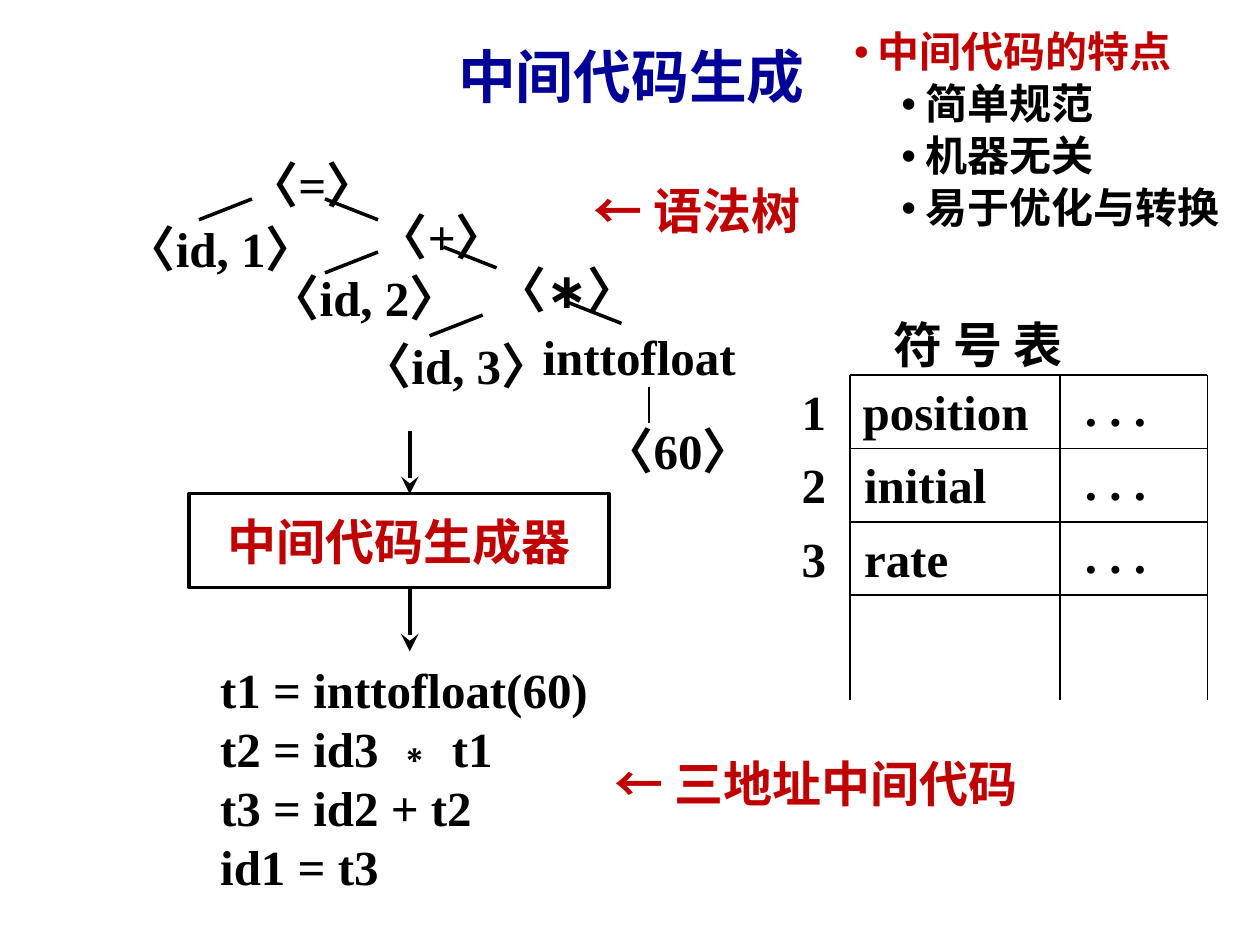
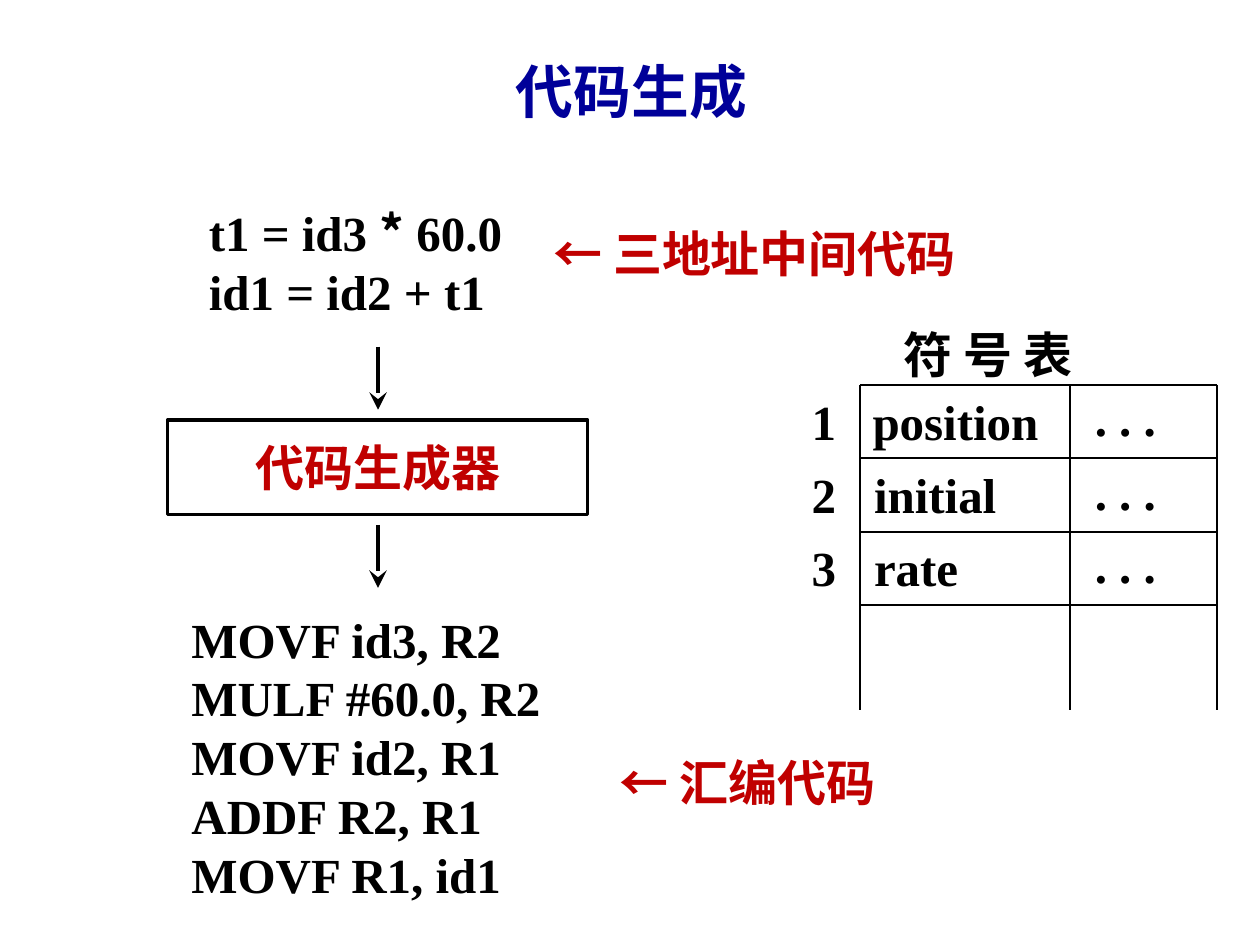
from pptx import Presentation
from pptx.dml.color import RGBColor
from pptx.enum.shapes import MSO_CONNECTOR as Line, MSO_SHAPE as Preset
from pptx.enum.text import MSO_ANCHOR as Anchor, PP_ALIGN as Align
from pptx.oxml.ns import qn
from pptx.util import Cm, Pt
from lxml.etree import SubElement

BLACK, RED, NAVY = "000000", "C00000", "000099"
SERIF, SANS_JP, SANS_SC = "Times New Roman", "Noto Sans CJK JP", "Noto Sans CJK SC"


def rgb(code):
    """Turn a hex string into a colour."""
    return RGBColor.from_string(code)


class Deck:
    """Holds the presentation, its style and the current slide."""

    def __init__(self):
        """Start a 4:3 presentation."""
        self.deck = Presentation()
        self.deck.slide_width, self.deck.slide_height = Cm(25.4), Cm(19.05)
        self.slide = None

    def new_slide(self, title, top):
        """Add a blank slide with its centred title."""
        self.slide = self.deck.slides.add_slide(self.deck.slide_layouts[6])
        self.text(8.64, top, 8.18, 2.44, [title], font=SANS_JP, size=33, color=NAVY,
                  align=Align.CENTER, wrap=True, spacing=0.9)

    def style(self, paragraph, font, size, color, east=None):
        """Set the bold face, size and colour of a paragraph."""
        face = paragraph.font
        face.size, face.bold, face.name = Pt(size), True, font
        face.color.rgb = rgb(color)
        if east:
            defaults = paragraph._p.pPr.find(qn("a:defRPr"))
            SubElement(defaults, qn("a:ea")).set("typeface", east)

    def text(self, left, top, width, height, lines, font=SERIF, size=28, color=BLACK,
             align=Align.LEFT, anchor=Anchor.MIDDLE, wrap=False, spacing=None, east=SANS_SC):
        """Add a text box; a line is a string or a list of (text, font) pairs."""
        frame = self.slide.shapes.add_textbox(
            Cm(left), Cm(top), Cm(width), Cm(height)).text_frame
        frame.word_wrap, frame.vertical_anchor = wrap, anchor
        for index, line in enumerate(lines):
            paragraph = frame.paragraphs[0] if index == 0 else frame.add_paragraph()
            paragraph.alignment, paragraph.line_spacing = align, spacing
            self.style(paragraph, font, size, color, font if font != SERIF else east)
            for words, face in [(line, None)] if isinstance(line, str) else line:
                run = paragraph.add_run()
                run.text = words
                if face:
                    run.font.name = face
        return frame

    def note(self, left, top, width, words):
        """Add a red remark."""
        self.text(left, top, width, 1.7, [words], font=SANS_JP, color=RED)

    def line(self, x1, y1, x2, y2, weight=2, arrow=False):
        """Add a straight black line, with a stealth arrowhead if wanted."""
        connector = self.slide.shapes.add_connector(
            Line.STRAIGHT, Cm(x1), Cm(y1), Cm(x2), Cm(y2))
        connector.line.color.rgb = rgb(BLACK)
        connector.line.width = Pt(weight)
        properties = connector._element.spPr
        if arrow:
            head = SubElement(properties.find(qn("a:ln")), qn("a:tailEnd"))
            for key, value in (("type", "stealth"), ("w", "lg"), ("len", "lg")):
                head.set(key, value)
        SubElement(properties, qn("a:effectLst"))

    def stage(self, left, top, name, arrow_x, arrow_tops):
        """Add a processing stage with its arrows in and out."""
        box = self.slide.shapes.add_shape(
            Preset.RECTANGLE, Cm(left), Cm(top), Cm(8.47), Cm(1.9))
        box.shadow.inherit = False
        box.fill.background()
        box.line.color.rgb, box.line.width = rgb(BLACK), Pt(2)
        frame = box.text_frame
        frame.word_wrap, frame.vertical_anchor = False, Anchor.MIDDLE
        label = frame.paragraphs[0]
        label.text, label.alignment = name, Align.CENTER
        self.style(label, SANS_JP, 28, RED, SANS_JP)
        for arrow_top in arrow_tops:
            self.line(arrow_x, arrow_top, arrow_x, arrow_top + 1.27, arrow=True)

    def symbol_table(self, left, top):
        """Add the open-ended symbol table."""
        pitch, width = 1.48, 7.2
        self.text(left + 0.62, top - 1.34, 5.51, 1.7, ["符 号 表"], font=SANS_SC,
                  anchor=Anchor.TOP, wrap=True)
        for x in (0, 4.23, width):
            self.line(left + x, top, left + x, top + 6.56, 1)
        for row in range(4):
            self.line(left, top + row * pitch, left + width, top + row * pitch, 1)
        for row, symbol in enumerate(("position", "initial", "rate")):
            y = top + row * pitch
            cells = ((-1.23, 0, 1.9, str(row + 1)), (0.03 if row else 0, 0, 4.23, symbol),
                     (4.48, -0.07, 3.39, ". . ."))
            for dx, dy, cell_width, words in cells:
                self.text(left + dx, y + dy, cell_width, 1.27, [words],
                          anchor=Anchor.TOP, wrap=True)

    def features(self, heading, items):
        """Add the bulleted list in the upper right corner."""
        frame = self.text(16.97, 0.51, 9.75, 4.52, [heading, *items], font=SANS_SC, size=24,
                          anchor=Anchor.TOP, wrap=True, spacing=0.9)
        for index, paragraph in enumerate(frame.paragraphs):
            paragraph.level = min(index, 1)
            paragraph.space_before = Pt(3.8 if index else 7.5)
            paragraph.font.color.rgb = rgb(BLACK if index else RED)
            properties = paragraph._p.pPr
            properties.set("marL", str(Cm(1.43 if index else 0.48)))
            properties.set("indent", str(-Cm(0.48)))
            defaults = properties.find(qn("a:defRPr"))
            for tag, key, value in (("a:buFont", "typeface", "Arial"), ("a:buChar", "char", "•")):
                defaults.addprevious(properties.makeelement(qn(tag), {key: value}))

    def syntax_tree(self):
        """Add the nodes and edges of the syntax tree."""
        nodes = (("=", 4.78, 3.18), ("+", 7.39, 4.22), ("∗", 9.78, 5.28), ("id, 1", 2.31, 4.47),
                 ("id, 2", 5.21, 5.46), ("id, 3", 7.06, 6.83), ("60", 11.94, 8.53))
        for token, x, y in nodes:
            self.text(x, y, 5, 1.07, [f"〈{token}〉"])
        self.text(10.69, 6.55, 4.62, 1.24, ["inttofloat"])
        left_edges = ((5.08, 4.01), (7.62, 5.08), (9.73, 6.35))
        right_edges = ((6.55, 4.01), (8.94, 4.98), (11.46, 6.1))
        for run, edges in ((-1.07, left_edges), (1.07, right_edges)):
            for x, y in edges:
                self.line(x, y, x + run, y + 0.42)
        self.line(13.08, 7.8, 13.08, 8.53, 1)


def main():
    """Build both slides and save them."""
    deck = Deck()

    deck.new_slide("中间代码生成", 0.38)
    deck.stage(3.81, 9.95, "中间代码生成器", 8.26, (8.69, 11.86))
    deck.text(4.19, 13.03, 9.27, 5.28, ["t1 = inttofloat(60)", "t2 = id3 ∗ t1",
                                        "t3 = id2 + t2", "id1 = t3"], east=None)
    deck.syntax_tree()
    deck.note(12.14, 14.94, 8.99, "← 三地址中间代码")
    deck.note(11.71, 3.38, 5.13, "← 语法树")
    deck.symbol_table(17.14, 7.56)
    deck.features("中间代码的特点", ("简单规范", "机器无关", "易于优化与转换"))

    deck.new_slide("代码生成", 0.69)
    deck.stage(3.38, 8.47, "代码生成器", 7.62, (6.99, 10.58))
    deck.text(3.61, 12.07, 8.05, 6.35, ["MOVF id3, R2", "MULF #60.0, R2", "MOVF id2, R1",
                                        "ADDF R2, R1", "MOVF R1, id1"])
    deck.text(3.96, 3.78, 7.24, 2.97, [[("t1 = id3 ", None), ("*", SANS_SC), (" 60.0", None)],
                                       "id1 = id2 + t1"])
    deck.note(10.9, 4.24, 8.99, "← 三地址中间代码")
    deck.note(12.24, 14.91, 8.99, "← 汇编代码")
    deck.symbol_table(17.34, 7.76)

    deck.deck.save("out.pptx")


if __name__ == "__main__":
    main()
